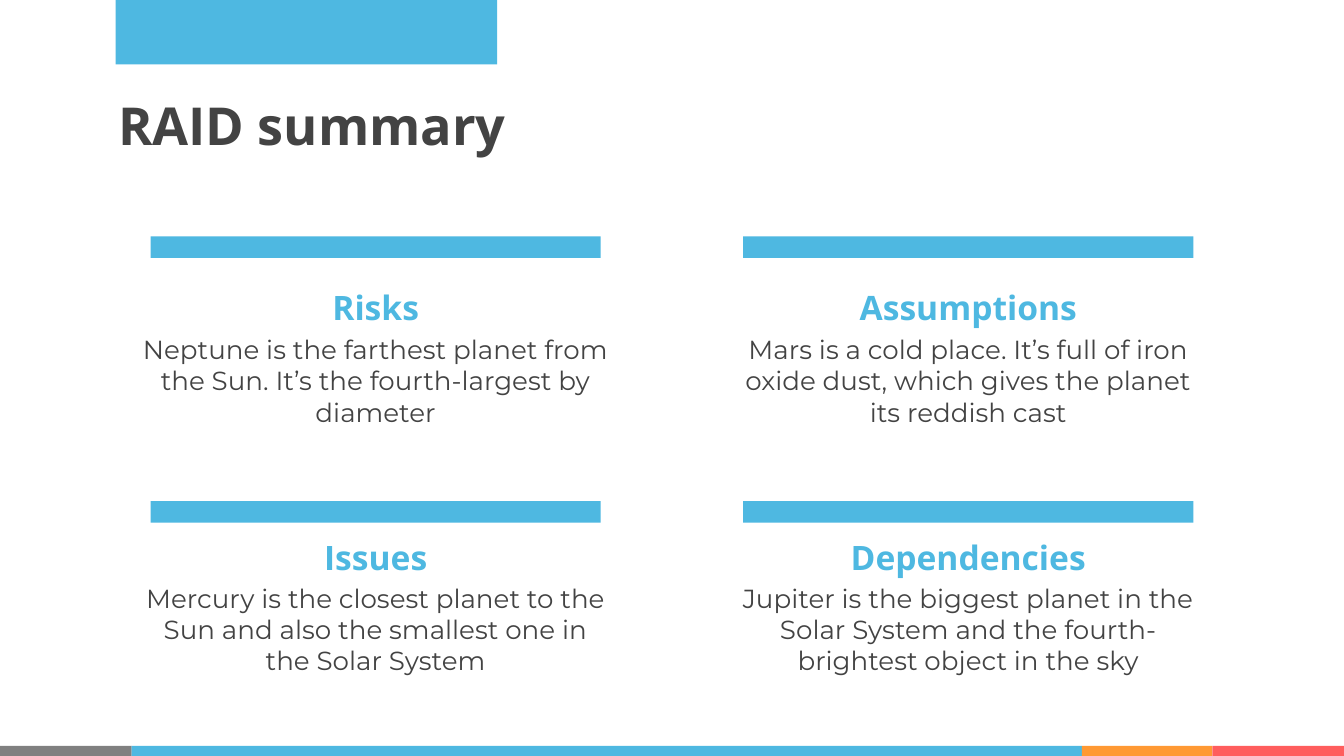
"""Build the RAID summary slide."""
from pptx import Presentation
from pptx.dml.color import RGBColor
from pptx.enum.shapes import MSO_SHAPE
from pptx.enum.text import MSO_ANCHOR, PP_ALIGN
from pptx.util import Inches, Pt

RECT = MSO_SHAPE.RECTANGLE
TOP, MIDDLE = MSO_ANCHOR.TOP, MSO_ANCHOR.MIDDLE
LEFT, CENTER = PP_ALIGN.LEFT, PP_ALIGN.CENTER

BLUE = RGBColor(0x4E, 0xB8, 0xE1)
DARK = RGBColor(0x43, 0x43, 0x43)
GRAY = RGBColor(0x80, 0x80, 0x80)
ORANGE = RGBColor(0xFF, 0x99, 0x33)
RED = RGBColor(0xFF, 0x5D, 0x5D)

TITLE = "RAID summary"
TOPICS = [
    ("Risks", "Neptune is the farthest planet from the Sun. "
              "It’s the fourth-largest by diameter"),
    ("Assumptions", "Mars is a cold place. It’s full of iron oxide dust, "
                    "which gives the planet its reddish cast"),
    ("Issues", "Mercury is the closest planet to the Sun "
               "and also the smallest one in the Solar System"),
    ("Dependencies", "Jupiter is the biggest planet in the Solar System "
                     "and the fourth-brightest object in the sky"),
]
STRIPS = [(0.98, GRAY), (7.07, BLUE), (0.97, ORANGE), (0.98, RED)]
COLS = [(1.12, 0.95), (5.53, 5.36)]
ROWS = [(1.76, 1.99, 2.38), (3.73, 3.85, 4.23)]
TEXT_W, BAR_W = 3.69, 3.35


def add_bar(slide, x, y, w, h, color):
    bar = slide.shapes.add_shape(RECT, Inches(x), Inches(y), Inches(w), Inches(h))
    bar.shadow.inherit = False
    bar.fill.solid()
    bar.fill.fore_color.rgb = color
    bar.line.fill.background()


def add_text(slide, text, x, y, w, h, font, size, color,
             bold=False, align=CENTER, anchor=TOP):
    frame = slide.shapes.add_textbox(
        Inches(x), Inches(y), Inches(w), Inches(h)).text_frame
    frame.word_wrap = True
    frame.margin_left = frame.margin_right = Inches(0.1)
    frame.margin_top = frame.margin_bottom = Inches(0.1)
    frame.vertical_anchor = anchor
    frame.text = text
    para = frame.paragraphs[0]
    para.alignment = align
    style = para.runs[0].font
    style.name, style.size, style.bold = font, Pt(size), bold
    style.color.rgb = color
    return para


def main():
    deck = Presentation()
    deck.slide_width = Inches(10)
    deck.slide_height = deck.slide_width * 9 // 16
    slide = deck.slides.add_slide(deck.slide_layouts[6])

    x = 0
    for width, color in STRIPS:
        add_bar(slide, x, 5.55, width, 0.08, color)
        x += width

    add_text(slide, TITLE, 0.78, 0.59, 8.88, 0.68, "Open Sans", 28, DARK,
             bold=True, align=LEFT, anchor=MIDDLE)
    add_bar(slide, 0.86, 0, 2.84, 0.48, BLUE)

    for i, (name, body) in enumerate(TOPICS):
        bar_x, text_x = COLS[i % 2]
        bar_y, name_y, body_y = ROWS[i // 2]
        add_bar(slide, bar_x, bar_y, BAR_W, 0.16, BLUE)
        head = add_text(slide, name, text_x, name_y, TEXT_W, 0.42,
                        "Open Sans", 18, BLUE, bold=True)
        head.line_spacing = 1.15
        head.space_after = Pt(16)
        add_text(slide, body, text_x, body_y, TEXT_W, 0.81,
                 "Montserrat", 14, DARK)

    deck.save("out.pptx")


if __name__ == "__main__":
    main()
